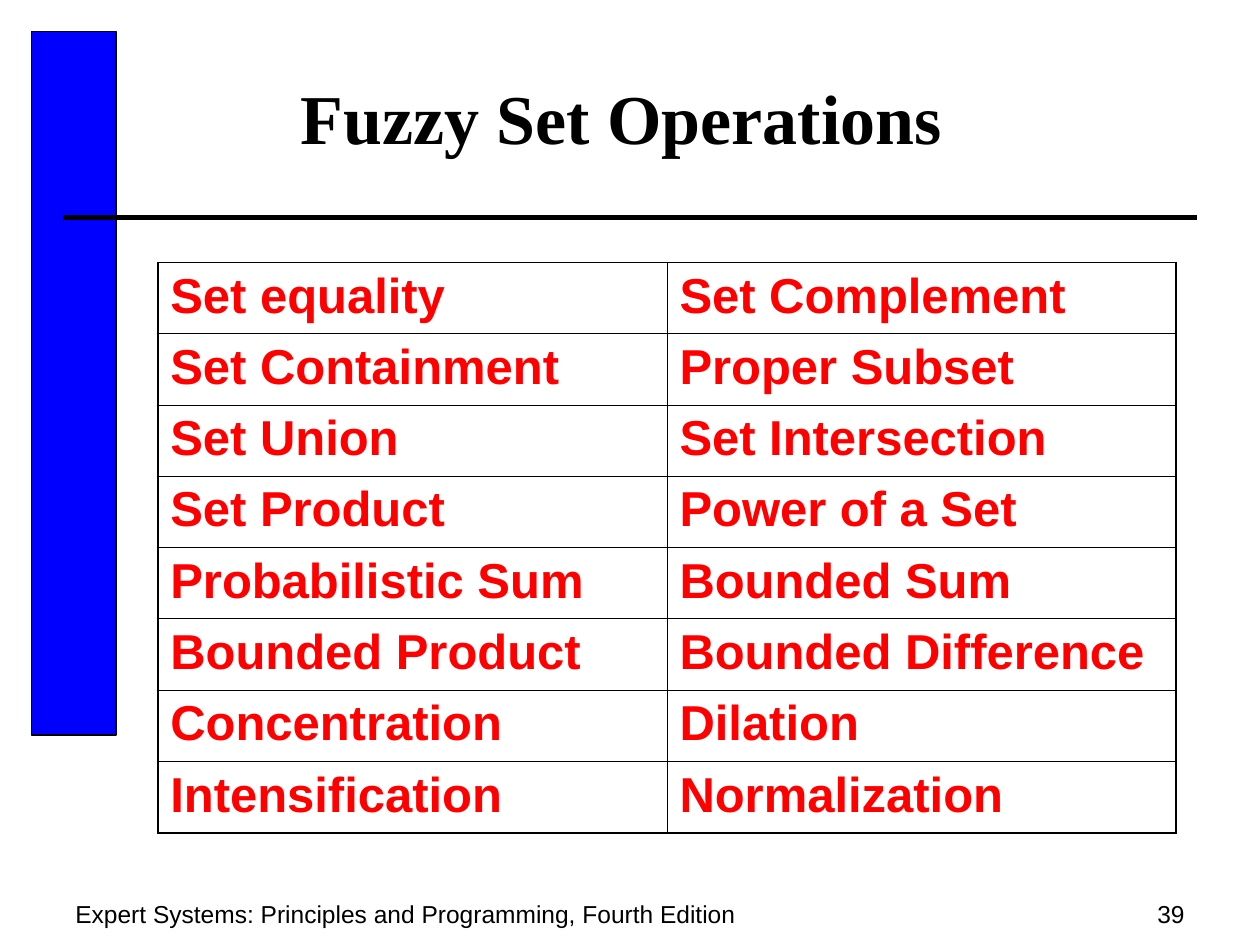
from lxml import etree
from pptx import Presentation
from pptx.dml.color import RGBColor
from pptx.enum.shapes import MSO_CONNECTOR, MSO_SHAPE
from pptx.enum.text import MSO_ANCHOR, PP_ALIGN
from pptx.oxml.ns import qn
from pptx.util import Cm, Pt

RECTANGLE = MSO_SHAPE.RECTANGLE
STRAIGHT = MSO_CONNECTOR.STRAIGHT
LEFT, CENTER, RIGHT = PP_ALIGN.LEFT, PP_ALIGN.CENTER, PP_ALIGN.RIGHT
MIDDLE = MSO_ANCHOR.MIDDLE

BLACK, BLUE, RED = "000000", "0000FF", "FF0000"
OUTER_BORDER, INNER_BORDER = Pt(1.08), Pt(0.45)

OPERATIONS = [
    ("Set equality", "Set Complement"),
    ("Set Containment", "Proper Subset"),
    ("Set Union", "Set Intersection"),
    ("Set Product", "Power of a Set"),
    ("Probabilistic Sum", "Bounded Sum"),
    ("Bounded Product", "Bounded Difference"),
    ("Concentration", "Dilation"),
    ("Intensification", "Normalization"),
]


def rgb(value):
    return RGBColor.from_string(value)


class SlideBuilder:
    heading_font = "Times New Roman"
    body_font = "Arial"

    def __init__(self, slide):
        self.slide = slide
        self.shapes = slide.shapes

    def set_text(self, frame, text, size, font=body_font, color=BLACK,
                 bold=False, align=LEFT):
        frame.text = text
        paragraph = frame.paragraphs[0]
        paragraph.alignment = align
        for run in paragraph.runs:
            run.font.name = font
            run.font.size = Pt(size)
            run.font.bold = bold
            run.font.color.rgb = rgb(color)

    def title(self, text, left, top, width, height):
        heading = self.shapes.title
        heading.left, heading.top = Cm(left), Cm(top)
        heading.width, heading.height = Cm(width), Cm(height)
        heading.text_frame.vertical_anchor = MIDDLE
        self.set_text(heading.text_frame, text, 40, self.heading_font,
                      bold=True, align=CENTER)

    def bar(self, left, top, width, height, color):
        bar = self.shapes.add_shape(RECTANGLE, Cm(left), Cm(top), Cm(width), Cm(height))
        bar.shadow.inherit = False
        bar.fill.solid()
        bar.fill.fore_color.rgb = rgb(color)
        bar.line.color.rgb = rgb(BLACK)
        bar.line.width = Pt(0.75)

    def rule(self, left, right, y, weight):
        rule = self.shapes.add_connector(STRAIGHT, Cm(left), Cm(y), Cm(right), Cm(y))
        rule.line.color.rgb = rgb(BLACK)
        rule.line.width = Pt(weight)
        etree.SubElement(rule._element.spPr, qn("a:effectLst"))

    def border(self, cell, widths):
        properties = cell._tc.get_or_add_tcPr()
        for position, (side, width) in enumerate(widths.items()):
            edge = etree.Element(qn(f"a:ln{side}"), w=str(width))
            fill = etree.SubElement(edge, qn("a:solidFill"))
            etree.SubElement(fill, qn("a:srgbClr"), val=BLACK)
            properties.insert(position, edge)

    def table(self, rows, left, top, width, height):
        row_count, column_count = len(rows), len(rows[0])
        table = self.shapes.add_table(row_count, column_count, Cm(left), Cm(top),
                                      Cm(width), Cm(height)).table
        table.first_row = table.horz_banding = False
        for r, row in enumerate(rows):
            for c, text in enumerate(row):
                cell = table.cell(r, c)
                self.set_text(cell.text_frame, text, 28, color=RED, bold=True)
                cell.fill.background()
                on_edge = {"L": c == 0, "R": c == column_count - 1,
                           "T": r == 0, "B": r == row_count - 1}
                self.border(cell, {side: OUTER_BORDER if outer else INNER_BORDER
                                   for side, outer in on_edge.items()})

    def label(self, text, left, top, width, height, align=LEFT):
        box = self.shapes.add_textbox(Cm(left), Cm(top), Cm(width), Cm(height))
        box.text_frame.word_wrap = True
        self.set_text(box.text_frame, text, 14, align=align)


def main():
    presentation = Presentation()
    presentation.slide_width, presentation.slide_height = Cm(25.4), Cm(19.05)
    title_only = presentation.slide_layouts[5]
    builder = SlideBuilder(presentation.slides.add_slide(title_only))

    # Heading with its side bar and rule
    builder.title("Fuzzy Set Operations ", 1.27, 0.76, 22.86, 3.18)
    builder.bar(0.64, 0.64, 1.7, 14.18, BLUE)
    builder.rule(1.27, 24.13, 4.39, 3)

    # Operations
    builder.table(OPERATIONS, 3.18, 5.29, 20.53, 11.5)

    # Footer
    builder.label("Expert Systems: Principles and Programming, Fourth Edition",
                  1.27, 17.99, 16.93, 1.06)
    builder.label("39", 18.2, 17.99, 5.93, 0.69, RIGHT)

    presentation.save("out.pptx")


if __name__ == "__main__":
    main()
